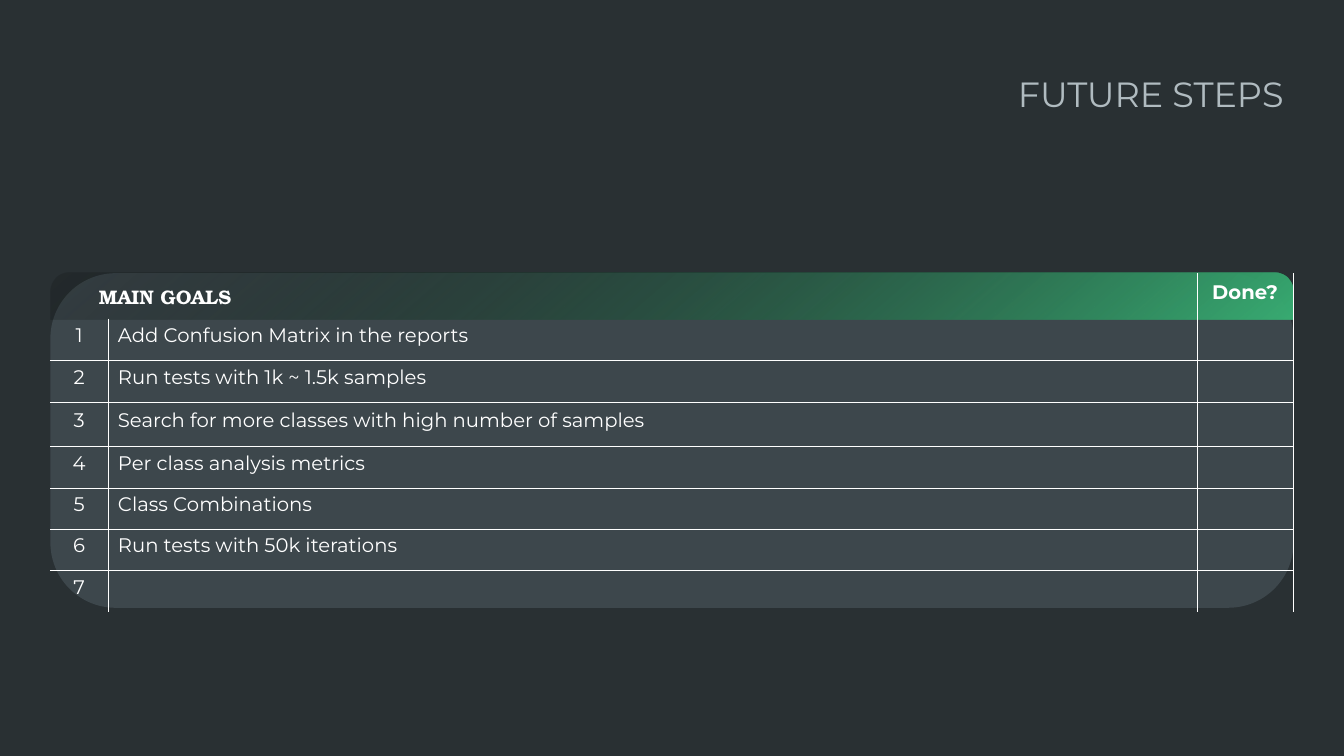
from dataclasses import dataclass

from lxml.etree import SubElement
from pptx import Presentation
from pptx.dml.color import RGBColor
from pptx.enum.shapes import MSO_SHAPE as Preset
from pptx.enum.text import MSO_ANCHOR as Anchor, MSO_AUTO_SIZE as AutoSize, PP_ALIGN as Align
from pptx.oxml.ns import qn
from pptx.util import Inches, Pt

HEADING = "FUTURE STEPS"
GOALS_LABEL = "MAIN GOALS"
DONE_LABEL = "Done?"
GOALS = [
    "Add Confusion Matrix in the reports",
    "Run tests with 1k ~ 1.5k samples",
    "Search for more classes with high number of samples",
    "Per class analysis metrics",
    "Class Combinations",
    "Run tests with 50k iterations",
    "",
]


@dataclass(frozen=True)
class Theme:
    background: str = "293033"
    panel: str = "3D474C"
    accent: str = "39AC73"
    shade: str = "000000"
    heading: str = "B0BBC0"
    text: str = "FFFFFF"
    font: str = "Montserrat"
    label_font: str = "TeX Gyre Bonum"
    heading_size: int = 25
    text_size: int = 14
    line_height: int = 13
    border_width: float = 0.25


THEME = Theme()
LEFT, TOP, WIDTH, HEIGHT = 0.5, 2.71, 12.33, 3.32
HEADER_HEIGHT = 0.46
COLUMN_WIDTHS = [0.57, 10.8, 0.96]
ROW_HEIGHTS = [0.45, 0.41, 0.42, 0.44] + [0.41] * 4
NUMBER, GOAL, DONE = range(3)


def add_run(paragraph, words, size, color, font, bold=False):
    run = paragraph.add_run()
    run.text = words
    run.font.size = Pt(size)
    run.font.name = font
    run.font.bold = bold
    run.font.color.rgb = RGBColor.from_string(color)


def add_panel(slide, preset, height, adjustments):
    panel = slide.shapes.add_shape(
        preset, Inches(LEFT), Inches(TOP), Inches(WIDTH), Inches(height))
    for position, value in enumerate(adjustments):
        panel.adjustments[position] = value
    panel.shadow.inherit = False
    panel.line.fill.background()
    return panel


def set_borders(cell, visible_sides):
    properties = cell._tc.get_or_add_tcPr()
    for position, side in enumerate(("L", "R", "T", "B")):
        border = properties.makeelement(qn(f"a:ln{side}"), {})
        properties.insert(position, border)
        if side in visible_sides:
            border.set("w", str(int(Pt(THEME.border_width))))
            solid = SubElement(border, qn("a:solidFill"))
            color = SubElement(solid, qn("a:srgbClr"), val=THEME.text)
            SubElement(color, qn("a:alpha"), val="30000")
        else:
            SubElement(border, qn("a:noFill"))


def border_sides(row, column):
    sides = "R"
    if column == DONE or (row and column == GOAL):
        sides += "L"
    if row > 1:
        sides += "T"
    if 0 < row < len(GOALS):
        sides += "B"
    return sides


def add_heading(slide):
    heading = slide.shapes.title
    heading.left, heading.top = Inches(9.79), Inches(0.67)
    heading.width, heading.height = Inches(3.04), Inches(0.52)
    frame = heading.text_frame
    frame.word_wrap = True
    frame.auto_size = AutoSize.SHAPE_TO_FIT_TEXT
    frame.vertical_anchor = Anchor.MIDDLE
    paragraph = frame.paragraphs[0]
    paragraph.alignment = Align.RIGHT
    add_run(paragraph, HEADING, THEME.heading_size, THEME.heading, THEME.font)


def add_panels(slide):
    body = add_panel(slide, Preset.ROUNDED_RECTANGLE, HEIGHT, [0.195])
    body.fill.solid()
    body.fill.fore_color.rgb = RGBColor.from_string(THEME.panel)

    header = add_panel(slide, Preset.ROUND_2_SAME_RECTANGLE, HEADER_HEIGHT, [0.403, 0])
    header.fill.gradient()
    header.fill.gradient_angle = 130
    start, end = header.fill.gradient_stops
    start.color.rgb = RGBColor.from_string(THEME.accent)
    start.position = 0
    end.color.rgb = RGBColor.from_string(THEME.shade)
    end.position = 0.99
    shade = header._element.spPr.findall(".//" + qn("a:srgbClr"))[-1]
    SubElement(shade, qn("a:alpha"), val="14000")


def add_goals(slide):
    rows = [[GOALS_LABEL, "", DONE_LABEL]]
    rows += [[str(number), goal, ""] for number, goal in enumerate(GOALS, 1)]
    table = slide.shapes.add_table(
        len(rows), len(COLUMN_WIDTHS), Inches(LEFT), Inches(TOP),
        Inches(WIDTH), Inches(HEIGHT)).table
    table.first_row = table.horz_banding = False
    for column, width in zip(table.columns, COLUMN_WIDTHS):
        column.width = Inches(width)
    for row, height in zip(table.rows, ROW_HEIGHTS):
        row.height = Inches(height)
    table.cell(0, NUMBER).merge(table.cell(0, GOAL))

    for row, entries in enumerate(rows):
        for column, words in enumerate(entries):
            cell = table.cell(row, column)
            is_label = row == 0 and column == NUMBER
            cell.fill.background()
            set_borders(cell, border_sides(row, column))
            cell.vertical_anchor = Anchor.MIDDLE
            cell.margin_left = Inches(0.48 if is_label else 0.1)
            cell.margin_right = Inches(0 if is_label else 0.1)
            cell.margin_top = Inches(0.05 if is_label else 0.03)
            cell.margin_bottom = Inches(0.05)
            if not words:
                continue
            paragraph = cell.text_frame.paragraphs[0]
            if not is_label:
                paragraph.line_spacing = Pt(THEME.line_height)
                paragraph.alignment = Align.LEFT if column == GOAL else Align.CENTER
            add_run(paragraph, words, THEME.text_size, THEME.text,
                    THEME.label_font if is_label else THEME.font, bold=row == 0)


def main():
    deck = Presentation()
    deck.slide_width, deck.slide_height = Inches(13.33), Inches(7.5)
    slide = deck.slides.add_slide(deck.slide_layouts[5])
    slide.background.fill.solid()
    slide.background.fill.fore_color.rgb = RGBColor.from_string(THEME.background)
    add_heading(slide)
    add_panels(slide)
    add_goals(slide)
    deck.save("out.pptx")


if __name__ == "__main__":
    main()
